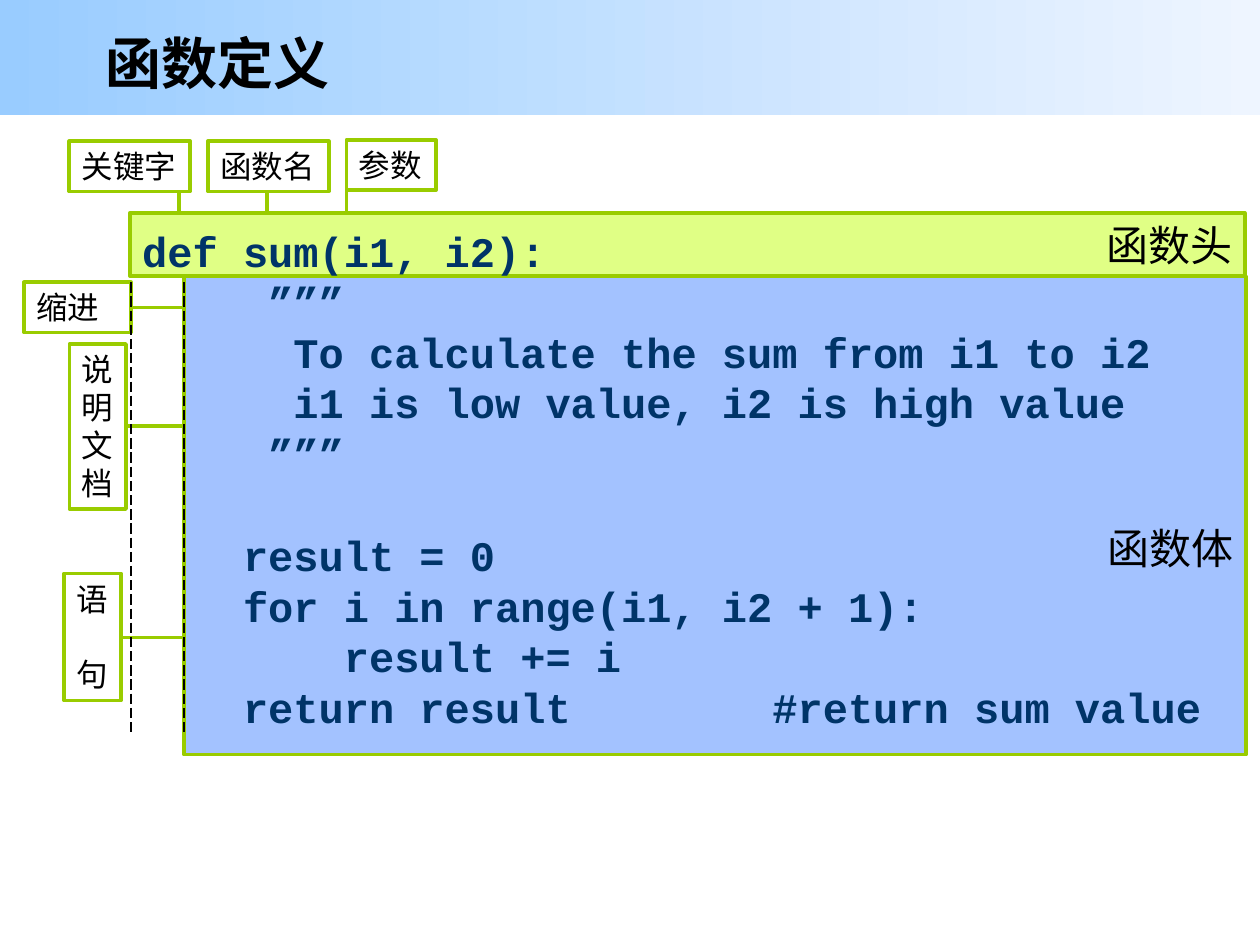
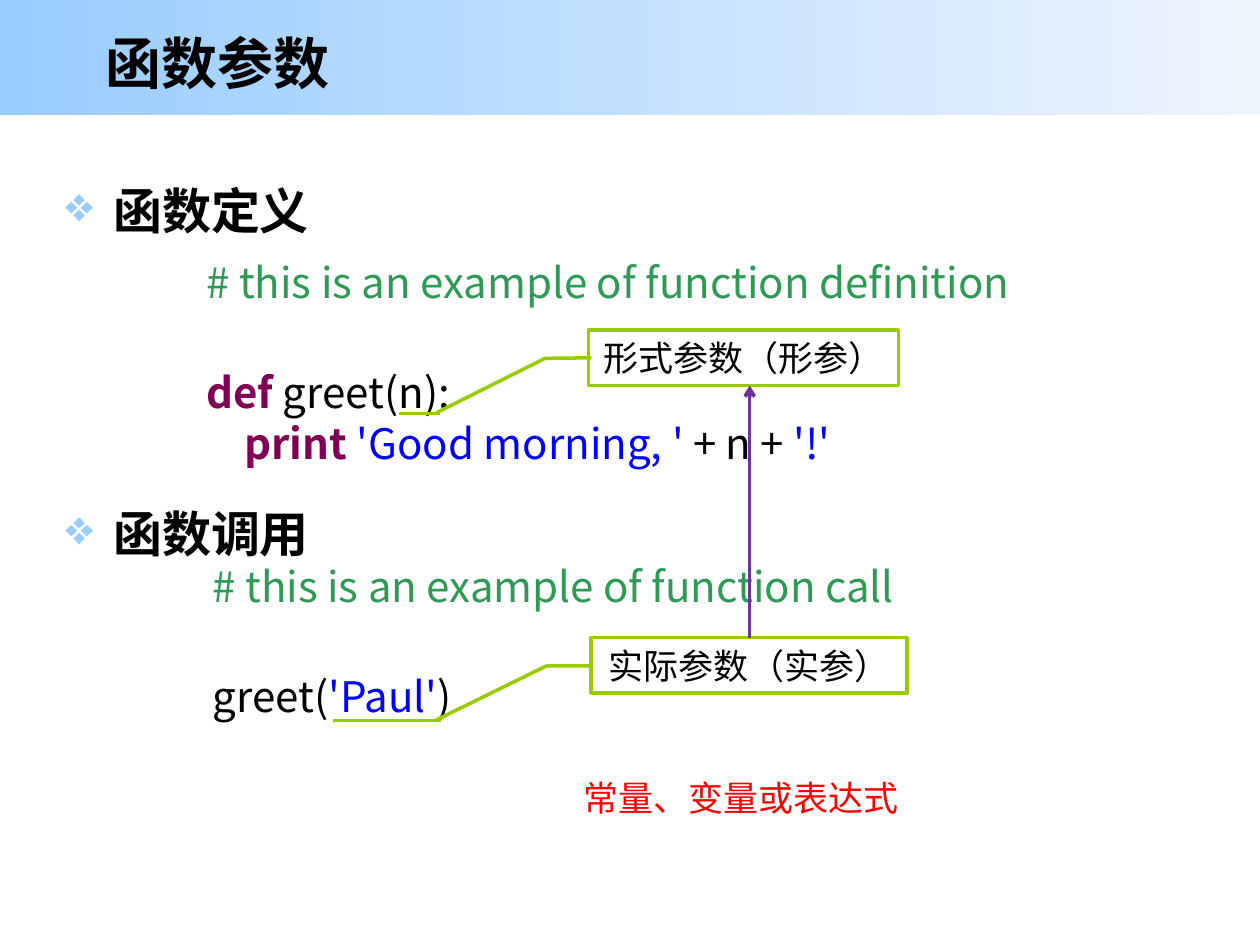
from dataclasses import dataclass
from typing import NamedTuple

from lxml import etree
from pptx import Presentation
from pptx.dml.color import RGBColor
from pptx.enum.dml import MSO_LINE
from pptx.enum.shapes import MSO_CONNECTOR, MSO_SHAPE
from pptx.enum.text import MSO_ANCHOR, PP_ALIGN
from pptx.oxml.ns import qn
from pptx.util import Inches, Pt

RECT, CALLOUT = MSO_SHAPE.RECTANGLE, MSO_SHAPE.LINE_CALLOUT_2
STRAIGHT = MSO_CONNECTOR.STRAIGHT
LEFT, CENTER, RIGHT = PP_ALIGN.LEFT, PP_ALIGN.CENTER, PP_ALIGN.RIGHT
TOP, MIDDLE = MSO_ANCHOR.TOP, MSO_ANCHOR.MIDDLE
LONG_DASH = MSO_LINE.LONG_DASH

COLORS = {
    "sky": "99CCFF", "mist": "EEF5FF", "black": "000000", "green": "99CC00",
    "lime": "E0FF85", "blue": "A3C2FF", "navy": "003468", "comment": "2F9956",
    "keyword": "7F0055", "string": "0000FF", "purple": "7030A0", "red": "FF0000",
}
SANS, MONO = "Noto Sans CJK SC", "Courier New"
COLUMNS, ROWS = 100, 75
LINE_FACTOR = 1.2

prs = Presentation()
prs.slide_width, prs.slide_height = Inches(10), Inches(7.5)


class Area(NamedTuple):
    col: float
    row: float
    cols: float
    rows: float


class Run(NamedTuple):
    text: str
    color: str = "black"
    bold: bool = False


class Para(NamedTuple):
    runs: list[Run]
    before: float = 0


@dataclass
class Style:
    size: float
    font: str = SANS
    align: PP_ALIGN = LEFT
    anchor: MSO_ANCHOR = TOP
    spacing: float = LINE_FACTOR


@dataclass
class Line:
    x1: float
    y1: float
    x2: float
    y2: float
    color: str = "green"
    width: float = 2
    dashed: bool = False
    arrow: bool = False


@dataclass
class Box:
    area: Area
    paras: list[Para]
    style: Style
    fill: str | None = None
    adjustments: tuple[float, ...] = ()


def x(cols: float) -> int:
    return round(prs.slide_width * cols / COLUMNS)


def y(rows: float) -> int:
    return round(prs.slide_height * rows / ROWS)


def place(area: Area) -> tuple[int, int, int, int]:
    return x(area.col), y(area.row), x(area.cols), y(area.rows)


def rgb(name: str) -> RGBColor:
    return RGBColor.from_string(COLORS[name])


def plain(*texts: str, color: str = "black", bold: bool = False) -> list[Para]:
    return [Para([Run(text, color, bold)]) for text in texts]


def write(tf, paras: list[Para], style: Style) -> None:
    tf.word_wrap = True
    tf.vertical_anchor = style.anchor
    for i, para in enumerate(paras):
        p = tf.add_paragraph() if i else tf.paragraphs[0]
        p.alignment = style.align
        p.line_spacing = Pt(style.size * style.spacing)
        p.space_before = Pt(para.before)
        for run in para.runs:
            r = p.add_run()
            r.text = run.text
            r.font.name, r.font.size = style.font, Pt(style.size)
            r.font.bold = run.bold
            r.font.color.rgb = rgb(run.color)
            etree.SubElement(r.font._element, qn("a:ea"), typeface=style.font)


def add_text(s, area: Area, paras: list[Para], style: Style):
    sp = s.shapes.add_textbox(*place(area))
    write(sp.text_frame, paras, style)
    return sp


def add_box(s, box: Box):
    sp = s.shapes.add_shape(CALLOUT if box.adjustments else RECT, *place(box.area))
    sp.shadow.inherit = False
    for i, value in enumerate(box.adjustments):
        sp.adjustments[i] = value
    if box.fill:
        sp.fill.solid()
        sp.fill.fore_color.rgb = rgb(box.fill)
    else:
        sp.fill.background()
    sp.line.color.rgb = rgb("green")
    sp.line.width = Pt(2)
    write(sp.text_frame, box.paras, box.style)
    return sp


def add_line(s, line: Line) -> None:
    sp = s.shapes.add_connector(STRAIGHT, x(line.x1), y(line.y1), x(line.x2), y(line.y2))
    sp.line.color.rgb = rgb(line.color)
    sp.line.width = Pt(line.width)
    if line.dashed:
        sp.line.dash_style = LONG_DASH
    if line.arrow:
        etree.SubElement(sp.line._get_or_add_ln(), qn("a:tailEnd"), type="arrow")
    etree.SubElement(sp._element.spPr, qn("a:effectLst"))


def add_bullet(p, indent: float) -> None:
    pPr = p._p.get_or_add_pPr()
    pPr.set("marL", str(Inches(indent)))
    pPr.set("indent", str(-Inches(indent)))
    color = etree.SubElement(pPr, qn("a:buClr"))
    etree.SubElement(color, qn("a:srgbClr"), val=COLORS["sky"])
    etree.SubElement(pPr, qn("a:buChar"), char="❖")


def add_slide(title: str):
    s = prs.slides.add_slide(prs.slide_layouts[5])
    band = s.shapes.add_shape(RECT, *place(Area(0, 0, COLUMNS, 9.15)))
    band.shadow.inherit = False
    band.line.fill.background()
    band.fill.gradient()
    band.fill.gradient_angle = 0
    for stop, name in zip(band.fill.gradient_stops, ("sky", "mist")):
        stop.color.rgb = rgb(name)
    s.shapes._spTree.insert(2, band._element)
    sp = s.shapes.title
    sp.left, sp.top, sp.width, sp.height = place(Area(7.4, 1.6, 85, 6.7))
    write(sp.text_frame, plain(title, bold=True), Style(32, anchor=MIDDLE))
    return s


def build_definition() -> None:
    s = add_slide("函数定义")
    edge = 14.6
    part = Style(24, align=RIGHT, anchor=MIDDLE)
    body = add_box(s, Box(Area(edge, 21.9, 84.3, 38), plain("函数体"), part, "blue"))
    body.text_frame.margin_top = y(5.7)
    add_box(s, Box(Area(10.3, 16.9, 88.5, 5), plain("函数头"), part, "lime"))

    code = plain(
        "def sum(i1, i2):",
        "     ”””",
        "      To calculate the sum from i1 to i2",
        "      i1 is low value, i2 is high value",
        "     ”””",
        "    result = 0",
        "    for i in range(i1, i2 + 1):",
        "        result += i",
        "    return result        #return sum value",
        color="navy", bold=True,
    )
    code[5] = code[5]._replace(before=30)
    add_text(s, Area(10.3, 17.4, 88.5, 41.4), code, Style(24, MONO))

    label = Style(18)
    statement = plain("语", "句")
    statement[1] = statement[1]._replace(before=21.6)
    for area, paras in (
        (Area(5.5, 11.2, 9.6, 4), plain("关键字")),
        (Area(16.5, 11.2, 9.6, 4), plain("函数名")),
        (Area(27.5, 11.1, 7.1, 4), plain("参数")),
        (Area(1.9, 22.4, 8.5, 4), plain("缩进")),
        (Area(5.5, 27.3, 4.5, 13.1), plain(*"说明文档")),
        (Area(5.1, 45.5, 4.5, 10.1), statement),
    ):
        add_box(s, Box(area, paras, label))

    head = 16.9
    for stem, start, end in ((14.2, 11.8, 16.5), (21.2, 18.2, 26.1), (27.5, 27.5, 29.1)):
        add_line(s, Line(stem, 15.2, stem, head))
        add_line(s, Line(start, head, end, head))
    for start, row in ((10.4, 24.4), (10.1, 33.8), (9.7, 50.6)):
        add_line(s, Line(start, row, edge, row))
    for top, bottom in ((27.3, 41.4), (46.2, 55.8)):
        add_line(s, Line(edge, top, edge, bottom))
    for col in (edge, 10.4):
        add_line(s, Line(col, 22.4, col, 58.1, "black", 0.75, dashed=True))


def build_parameters() -> None:
    s = add_slide("函数参数")
    topics = plain("函数定义", "函数调用", bold=True)
    topics[1] = topics[1]._replace(before=144)
    sp = add_text(s, Area(4.2, 12.9, 92.5, 53.8), topics, Style(28, spacing=1.44))
    for p in sp.text_frame.paragraphs:
        add_bullet(p, 0.38)

    code = Style(24)
    add_text(s, Area(15.4, 19.9, 72.4, 18.5), [
        Para([Run("# this is an example of function definition", "comment")]),
        Para([Run("def ", "keyword", True), Run("greet(n):")], 34),
        Para([Run("    print ", "keyword", True), Run("'Good morning, ' ", "string"),
              Run("+ n + "), Run("'!'", "string")]),
    ], code)
    add_text(s, Area(15.9, 44, 76, 13.8), [
        Para([Run("# this is an example of function call", "comment")]),
        Para([Run("greet("), Run("'Paul'", "string"), Run(")")], 34),
    ], code)

    note = Style(20, align=CENTER, anchor=MIDDLE)
    elbow = (0.51, -0.14, 1.49, -0.49)
    for area, text, start in (
        (Area(46.7, 26.2, 24.6, 4.4), "形式参数（形参）", (0.5, 0.01)),
        (Area(46.9, 50.6, 25.1, 4.4), "实际参数（实参）", (0.51, 0)),
    ):
        add_box(s, Box(area, plain(text), note, adjustments=start + elbow))
    add_line(s, Line(31.7, 32.8, 34.9, 32.8))
    add_line(s, Line(26.4, 57.2, 35, 57.2))
    add_line(s, Line(59.5, 50.6, 59.5, 30.6, "purple", arrow=True))
    add_text(s, Area(45.3, 61.1, 27.3, 4.4), plain("常量、变量或表达式", color="red"), Style(20))


def main() -> None:
    build_definition()
    build_parameters()
    prs.save("out.pptx")


if __name__ == "__main__":
    main()
